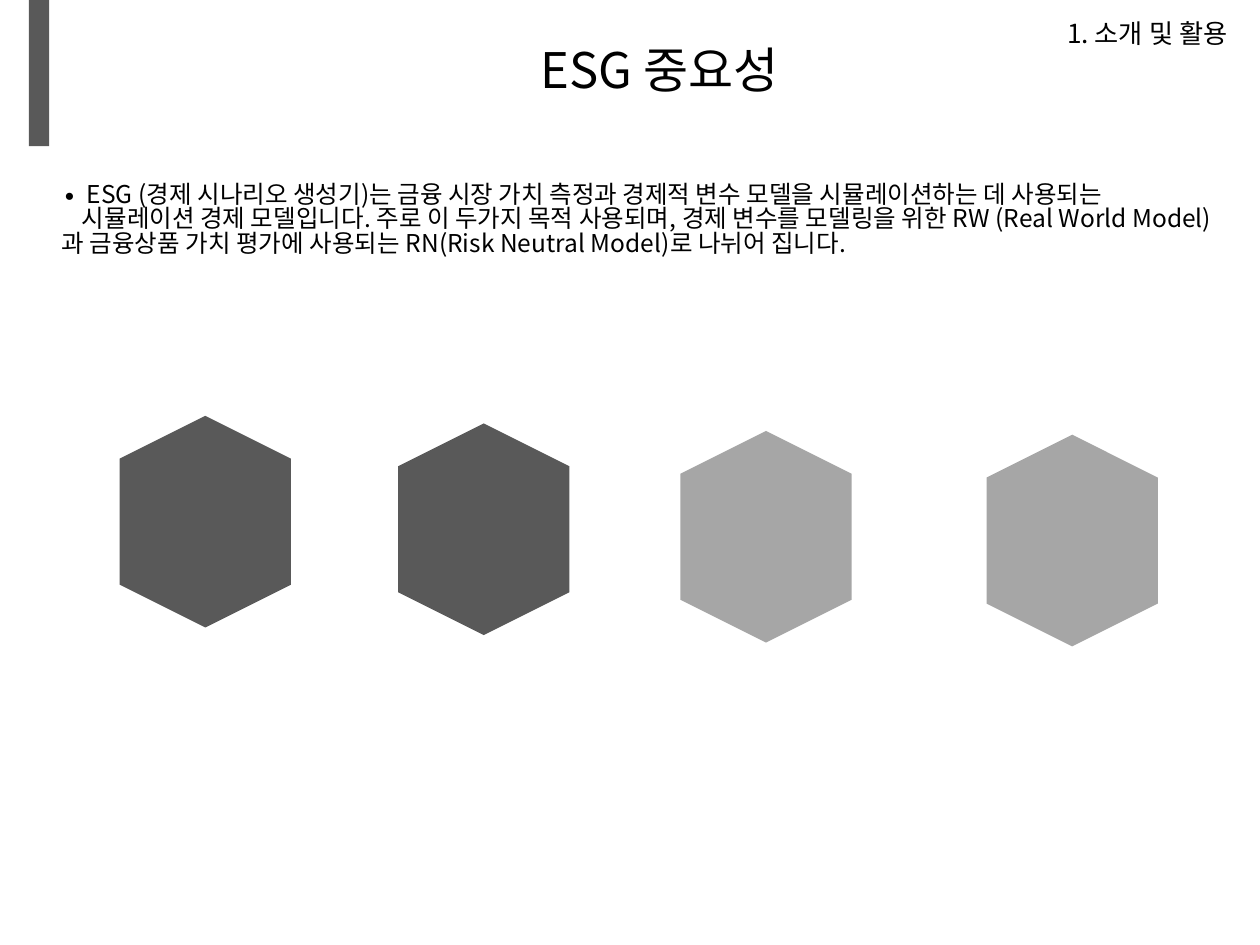
from pptx import Presentation
from pptx.dml.color import RGBColor
from pptx.enum.shapes import MSO_SHAPE
from pptx.enum.text import MSO_ANCHOR, PP_ALIGN
from pptx.oxml.ns import qn
from pptx.util import Inches, Pt
from lxml.etree import SubElement

FACE = "Noto Sans CJK KR"
HUES = {"ink": "000000", "dark": "595959", "light": "A6A6A6"}
TITLE = "ESG 중요성"
LABEL = "1. 소개 및 활용"
BODY = [
    ("ESG (경제 시나리오 생성기)는 금융 시장 가치 측정과 경제적 변수 모델을 시뮬레이션하는 데 사용되는", 0.2, -0.2, "∙"),
    ("시뮬레이션 경제 모델입니다. 주로 이 두가지 목적 사용되며, 경제 변수를 모델링을 위한 RW (Real World Model)과 "
     "금융상품 가치 평가에 사용되는 RN(Risk Neutral Model)로 나뉘어 집니다.", 0, 0.16, None),
]
CELLS = [(0.79, 3.46, "dark"), (3, 3.52, "dark"), (5.24, 3.58, "light"), (7.67, 3.61, "light")]
SIZE = (1.68, 1.36)


def place(shape, left, top, width, height):
    """Move and size a shape in inches."""
    shape.left, shape.top = Inches(left), Inches(top)
    shape.width, shape.height = Inches(width), Inches(height)


def write(para, text, size, align):
    """Add one styled run to a paragraph."""
    para.alignment = align
    para.space_before = Pt(0)
    para.line_spacing = 0.83
    run = para.add_run()
    run.text = text
    font = run.font
    font.size, font.name = Pt(size), FACE
    font.color.rgb = RGBColor.from_string(HUES["ink"])
    SubElement(font._element, qn("a:ea"), typeface=FACE)


def indent(para, left, first, mark):
    """Set the indents and bullet of a paragraph."""
    props = para._p.get_or_add_pPr()
    props.set("marL", str(Inches(left)))
    props.set("indent", str(Inches(first)))
    if mark:
        SubElement(props, qn("a:buFont"), typeface=FACE)
        SubElement(props, qn("a:buChar"), char=mark)
    else:
        SubElement(props, qn("a:buNone"))


def draw(shapes, kind, box, hue):
    """Add a flat shape without an outline."""
    shape = shapes.add_shape(kind, *map(Inches, box))
    shape.shadow.inherit = False
    shape.fill.solid()
    shape.fill.fore_color.rgb = RGBColor.from_string(HUES[hue])
    shape.line.fill.background()
    return shape


def main():
    """Build the slide."""
    deck = Presentation()
    deck.slide_width, deck.slide_height = Inches(10), Inches(7.5)
    slide = deck.slides.add_slide(deck.slide_layouts[1])
    shapes = slide.shapes
    draw(shapes, MSO_SHAPE.RECTANGLE, (0.23, -0.01, 0.16, 1.17), "dark")

    title = shapes.title
    place(title, 0.43, 0, 9.61, 1.17)
    title.text_frame.vertical_anchor = MSO_ANCHOR.MIDDLE
    write(title.text_frame.paragraphs[0], TITLE, 28, PP_ALIGN.CENTER)

    body = slide.placeholders[1]
    place(body, 0.39, 1.41, 9.45, 1.28)
    frame = body.text_frame
    for pos, (text, left, first, mark) in enumerate(BODY):
        para = frame.add_paragraph() if pos else frame.paragraphs[0]
        write(para, text, 14, PP_ALIGN.LEFT)
        indent(para, left, first, mark)

    label = shapes.add_textbox(0, 0, 0, 0)
    place(label, 5.31, 0, 4.53, 0.57)
    label.text_frame.word_wrap = True
    label.text_frame.vertical_anchor = MSO_ANCHOR.MIDDLE
    write(label.text_frame.paragraphs[0], LABEL, 15, PP_ALIGN.RIGHT)

    for left, top, hue in CELLS:
        cell = draw(shapes, MSO_SHAPE.HEXAGON, (left, top, *SIZE), hue)
        cell.rotation = 270
    deck.save("out.pptx")


if __name__ == "__main__":
    main()
